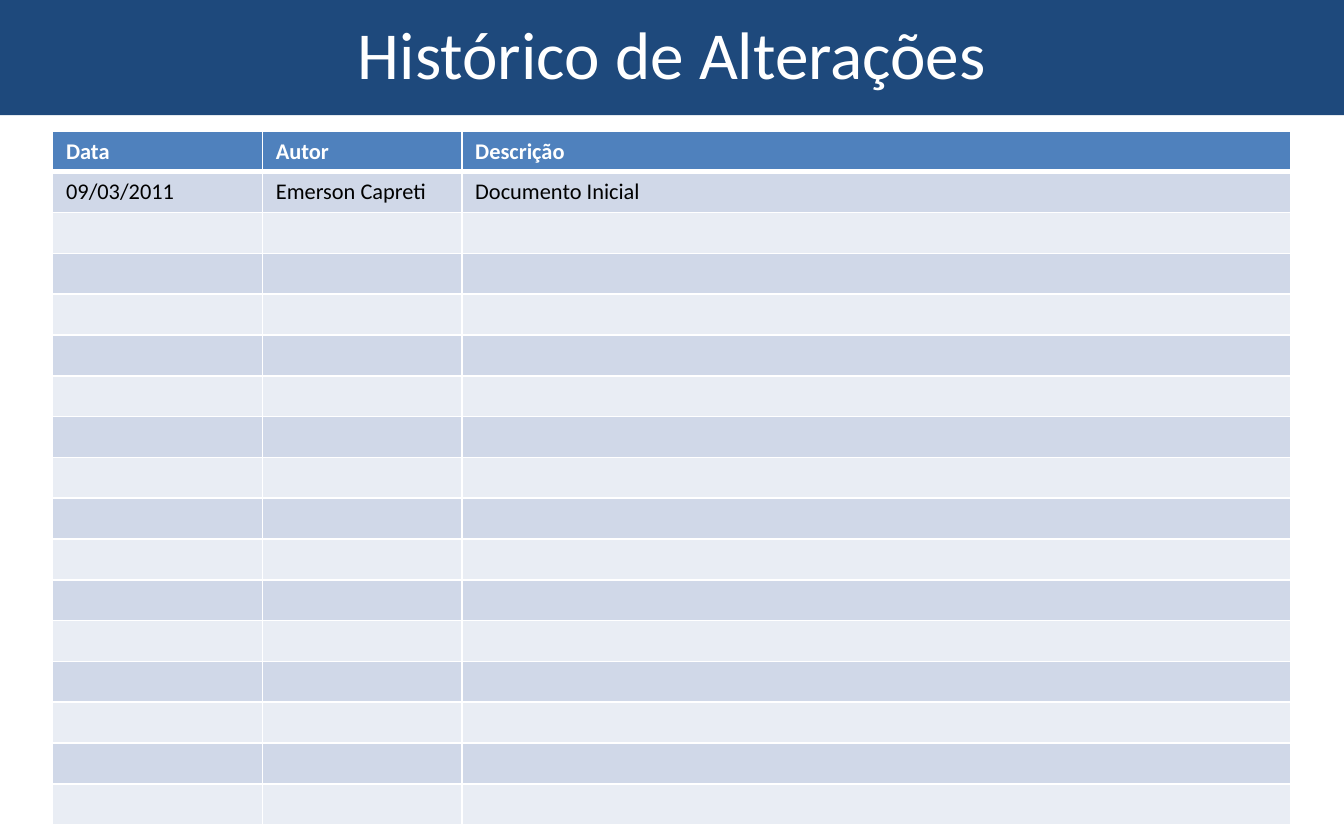
from dataclasses import dataclass

from lxml.etree import SubElement
from pptx import Presentation
from pptx.dml.color import RGBColor
from pptx.enum.shapes import MSO_SHAPE
from pptx.enum.text import MSO_ANCHOR, PP_ALIGN
from pptx.oxml.ns import qn
from pptx.util import Pt


@dataclass(frozen=True)
class Theme:
    font: str = "Calibri"
    title_size: float = 36
    table_size: float = 12
    white: str = "FFFFFF"
    black: str = "000000"
    banner: str = "1E497C"
    header: str = "4F81BD"
    bands: tuple[str, str] = ("D0D8E8", "E9EDF4")


@dataclass(frozen=True)
class Column:
    heading: str
    width: float


@dataclass(frozen=True)
class Change:
    date: str = ""
    author: str = ""
    description: str = ""


@dataclass(frozen=True)
class CellStyle:
    fill: str
    color: str
    bold: bool
    bottom_border: float


THEME = Theme()
COLUMNS = [Column("Data", 112.4), Column("Autor", 106.8), Column("Descrição", 444.2)]
CHANGES = [Change("09/03/2011", "Emerson Capreti", "Documento Inicial")]
BODY_ROWS = 16
ROW_HEIGHT = 21.2


def set_font(para, size: float, color: str, bold: bool = False) -> None:
    para.font.name = THEME.font
    para.font.size = Pt(size)
    para.font.bold = bold
    para.font.color.rgb = RGBColor.from_string(color)


def add_border(cell, side: str, width: float) -> None:
    properties = cell._tc.get_or_add_tcPr()
    line = SubElement(properties, qn(f"a:{side}"), w=str(Pt(width)))
    fill = SubElement(line, qn("a:solidFill"))
    SubElement(fill, qn("a:srgbClr"), val=THEME.white)


def fill_cell(cell, text: str, style: CellStyle) -> None:
    for side in ("lnL", "lnR", "lnT"):
        add_border(cell, side, 1)
    add_border(cell, "lnB", style.bottom_border)
    cell.fill.solid()
    cell.fill.fore_color.rgb = RGBColor.from_string(style.fill)
    cell.text = text
    set_font(cell.text_frame.paragraphs[0], THEME.table_size, style.color, style.bold)


def add_banner(page, width: int) -> None:
    banner = page.shapes.add_shape(MSO_SHAPE.RECTANGLE, 0, 0, width, Pt(61.8))
    banner.shadow.inherit = False
    banner.fill.solid()
    banner.fill.fore_color.rgb = RGBColor.from_string(THEME.banner)
    banner.line.fill.background()
    page.shapes.title._element.addprevious(banner._element)


def add_title(page, text: str) -> None:
    title = page.shapes.title
    title.left, title.top, title.width, title.height = Pt(36), Pt(0), Pt(648), Pt(56.4)
    title.text = text
    title.text_frame.vertical_anchor = MSO_ANCHOR.MIDDLE
    para = title.text_frame.paragraphs[0]
    para.alignment = PP_ALIGN.CENTER
    set_font(para, THEME.title_size, THEME.white)


def add_history(page) -> None:
    row_count = BODY_ROWS + 1
    width = sum(column.width for column in COLUMNS)
    table = page.shapes.add_table(
        row_count, len(COLUMNS), Pt(28.2), Pt(70.2), Pt(width), Pt(row_count * ROW_HEIGHT)
    ).table
    for row in table.rows:
        row.height = Pt(ROW_HEIGHT)
    header = CellStyle(THEME.header, THEME.white, True, 3)
    for index, column in enumerate(COLUMNS):
        table.columns[index].width = Pt(column.width)
        fill_cell(table.cell(0, index), column.heading, header)
    changes = CHANGES + [Change()] * (BODY_ROWS - len(CHANGES))
    for number, change in enumerate(changes):
        style = CellStyle(THEME.bands[number % 2], THEME.black, False, 1)
        values = (change.date, change.author, change.description)
        for index, value in enumerate(values):
            fill_cell(table.cell(number + 1, index), value, style)


def main() -> None:
    deck = Presentation()
    deck.slide_width, deck.slide_height = Pt(720), Pt(450)
    page = deck.slides.add_slide(deck.slide_layouts.get_by_name("Title Only"))
    add_banner(page, deck.slide_width)
    add_title(page, "Histórico de Alterações")
    add_history(page)
    deck.save("out.pptx")


main()
